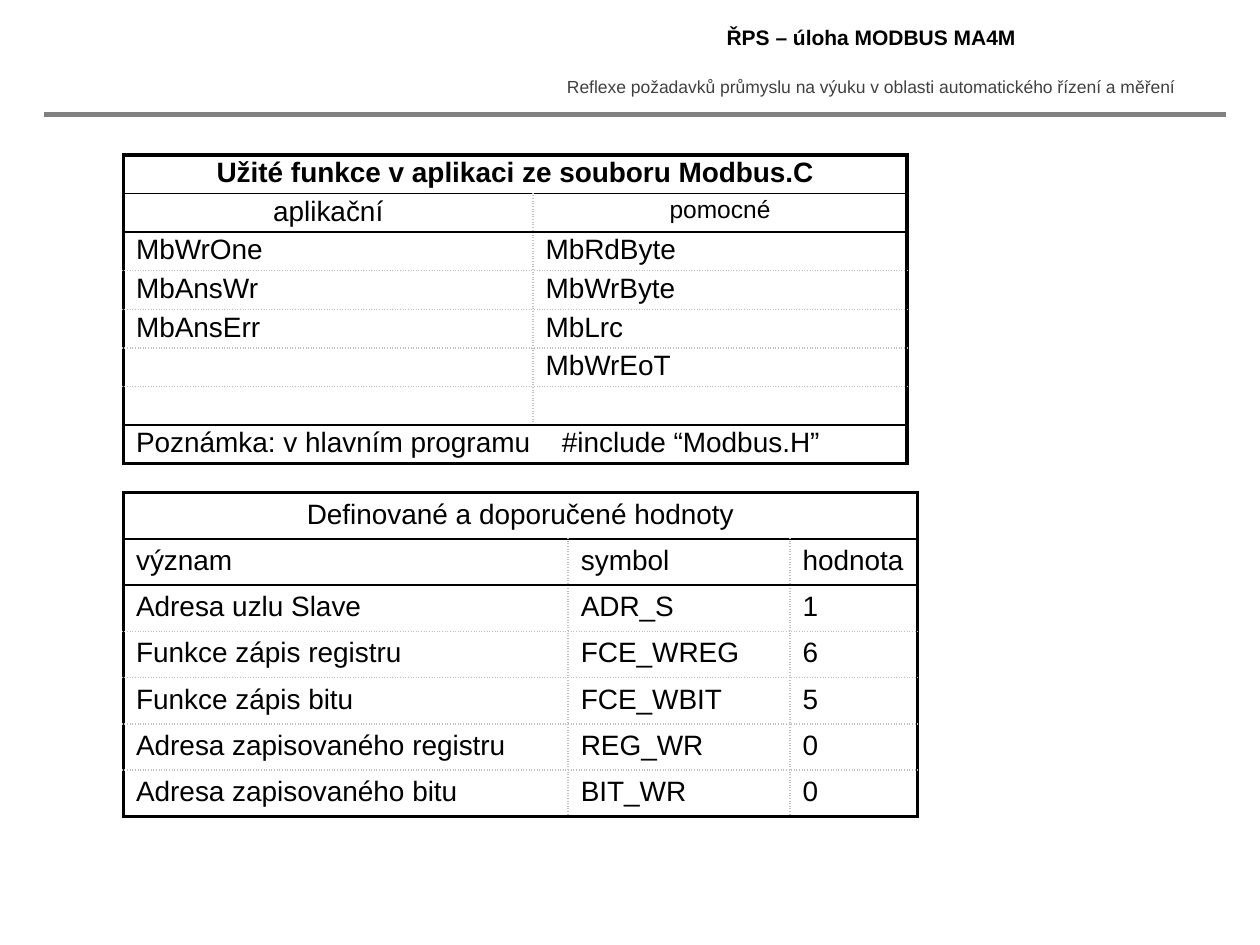
from lxml import etree
from pptx import Presentation
from pptx.dml.color import RGBColor
from pptx.enum.shapes import MSO_CONNECTOR
from pptx.enum.text import MSO_ANCHOR, PP_ALIGN
from pptx.oxml.ns import qn
from pptx.util import Inches, Pt

LEFT, CENTER = PP_ALIGN.LEFT, PP_ALIGN.CENTER
MIDDLE = MSO_ANCHOR.MIDDLE
STRAIGHT = MSO_CONNECTOR.STRAIGHT

BLACK = RGBColor(0x00, 0x00, 0x00)
DARK = RGBColor(0x40, 0x40, 0x40)
GRAY = RGBColor(0x80, 0x80, 0x80)
SILVER = RGBColor(0xC0, 0xC0, 0xC0)

OUTER = (BLACK, 2.25, "solid")
RULE = (BLACK, 1, "solid")
DOTTED = (SILVER, 1, "sysDot")

FUNCTIONS = [
    ["Užité funkce v aplikaci ze souboru Modbus.C"],
    ["aplikační", "pomocné"],
    ["MbWrOne", "MbRdByte"],
    ["MbAnsWr", "MbWrByte"],
    ["MbAnsErr", "MbLrc"],
    ["", "MbWrEoT"],
    ["", ""],
    ["Poznámka: v hlavním programu\t#include “Modbus.H”"],
]
VALUES = [
    ["Definované a doporučené hodnoty"],
    ["význam", "symbol", "hodnota"],
    ["Adresa uzlu Slave", "ADR_S", "1"],
    ["Funkce zápis registru", "FCE_WREG", "6"],
    ["Funkce zápis bitu", "FCE_WBIT", "5"],
    ["Adresa zapisovaného registru", "REG_WR", "0"],
    ["Adresa zapisovaného bitu", "BIT_WR", "0"],
]


class Deck:
    """Draws styled elements on the current slide, on a grid of 100 columns by 75 rows."""

    font = "Arial"
    size = 16
    unit = Inches(0.1)

    def __init__(self):
        self.prs = Presentation()
        self.prs.slide_width = self.grid(100)
        self.prs.slide_height = self.grid(75)
        self.s = self.prs.slides.add_slide(self.prs.slide_layouts[6])

    def grid(self, n):
        return round(n * self.unit)

    def run(self, p, text, size=size, color=BLACK, bold=False, align=LEFT):
        p.alignment = align
        if not text:
            p._p.get_or_add_endParaRPr().set("sz", str(size * 100))
            return
        r = p.add_run()
        r.text = text
        r.font.name, r.font.size, r.font.bold = self.font, Pt(size), bold
        r.font.color.rgb = color

    def text(self, x, y, w, h, text, **style):
        sp = self.s.shapes.add_textbox(*map(self.grid, (x, y, w, h)))
        tf = sp.text_frame
        tf.word_wrap = True
        tf.vertical_anchor = MIDDLE
        self.run(tf.paragraphs[0], text, align=CENTER, **style)

    def line(self, x1, y1, x2, y2, color, width):
        cx = self.s.shapes.add_connector(STRAIGHT, *map(self.grid, (x1, y1, x2, y2)))
        cx.line.color.rgb = color
        cx.line.width = Pt(width)
        etree.SubElement(cx._element.spPr, qn("a:effectLst"))

    def borders(self, cell, edges):
        tcPr = cell._tc.get_or_add_tcPr()
        for i, (tag, (color, width, dash)) in enumerate(zip(("lnL", "lnR", "lnT", "lnB"), edges)):
            ln = etree.Element(qn(f"a:{tag}"), w=str(Pt(width)))
            fill = etree.SubElement(ln, qn("a:solidFill"))
            etree.SubElement(fill, qn("a:srgbClr"), val=str(color))
            etree.SubElement(ln, qn("a:prstDash"), val=dash)
            tcPr.insert(i, ln)

    def tab_stop(self, p, pos):
        tabs = etree.SubElement(p._p.get_or_add_pPr(), qn("a:tabLst"))
        etree.SubElement(tabs, qn("a:tab"), pos=str(self.grid(pos)), algn="l")

    def table(self, x, y, widths, row_height, rows, rules, margin, styles, tab=None):
        n_rows, n_cols = len(rows), len(widths)
        frame = self.s.shapes.add_table(
            n_rows, n_cols, *map(self.grid, (x, y, sum(widths), row_height * n_rows)))
        table = frame.table
        table.first_row = table.horz_banding = False
        for column, width in zip(table.columns, widths):
            column.width = self.grid(width)

        def edge(i, n, inner=()):
            return OUTER if i in (0, n) else RULE if i in inner else DOTTED

        for i, texts in enumerate(rows):
            table.rows[i].height = self.grid(row_height)
            span = n_cols // len(texts) if len(texts) == 1 else 1
            if span > 1:
                table.cell(i, 0).merge(table.cell(i, n_cols - 1))
            for j, text in enumerate(texts):
                cell = table.cell(i, j)
                cell.fill.background()
                cell.margin_top = cell.margin_bottom = self.grid(margin)
                p = cell.text_frame.paragraphs[0]
                self.run(p, text, **styles.get((i, j), {}))
                if "\t" in text:
                    self.tab_stop(p, tab)
                self.borders(cell, (edge(j, n_cols), edge(j + span, n_cols),
                                    edge(i, n_rows, rules), edge(i + 1, n_rows, rules)))


def main():
    deck = Deck()
    deck.text(43, 5.5, 52.2, 2.7,
              "Reflexe požadavků průmyslu na výuku v oblasti automatického řízení a měření",
              size=10, color=DARK)
    deck.line(3.5, 9.1, 97.3, 9.1, GRAY, 3)
    deck.table(9.8, 12.3, (32.5, 29.7), 3.06, FUNCTIONS, (1, 2, 7), 0.2, {
        (0, 0): {"bold": True, "align": CENTER},
        (1, 0): {"align": CENTER},
        (1, 1): {"size": 14, "align": CENTER},
    }, tab=33.8)
    deck.table(9.8, 39.1, (35.3, 17.6, 10.1), 3.67, VALUES, (1, 2), 0.5,
               {(0, 0): {"align": CENTER}})
    deck.text(43, 1.4, 52.3, 3.1, "ŘPS – úloha MODBUS MA4M", size=12, bold=True)
    deck.prs.save("out.pptx")


if __name__ == "__main__":
    main()
